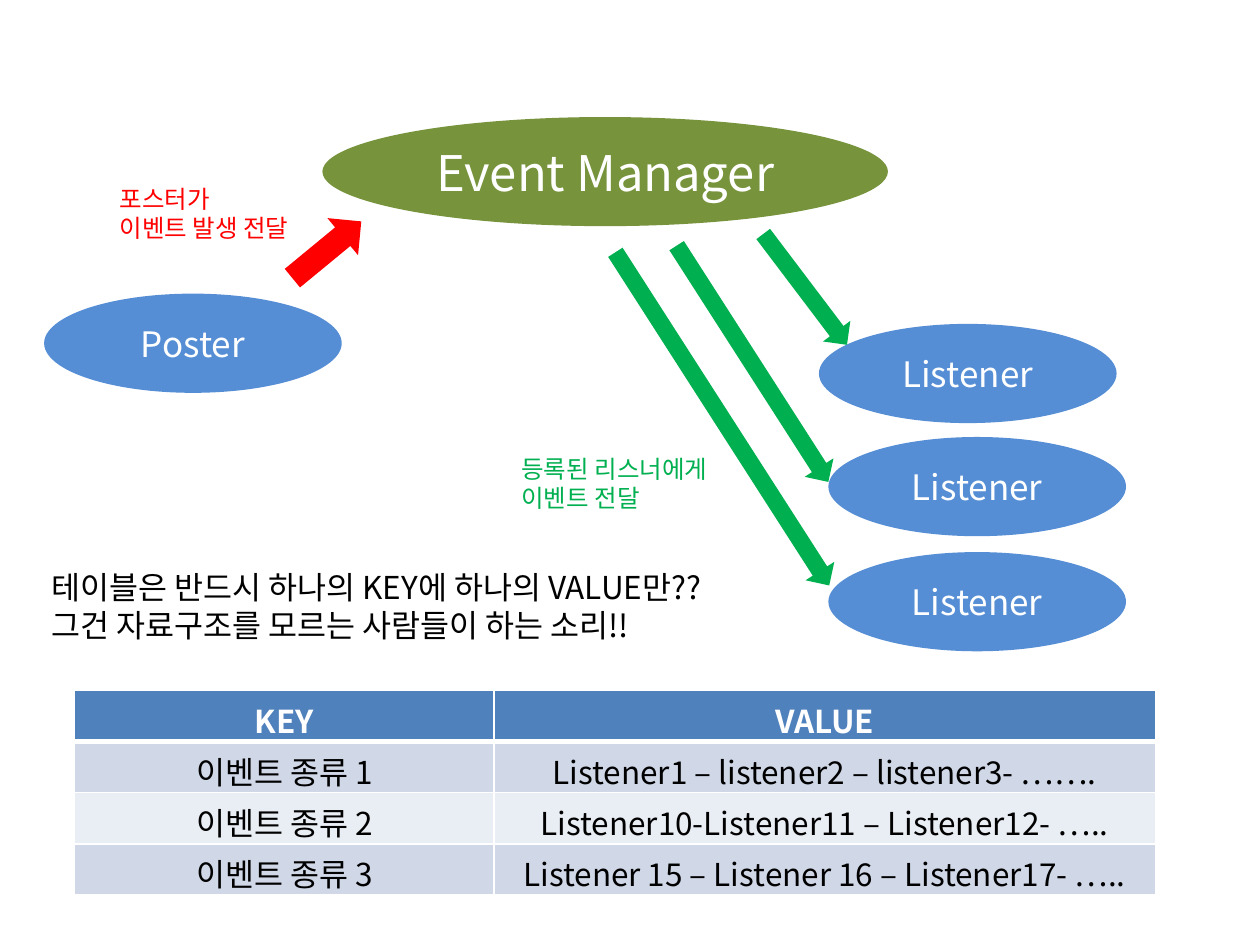
from dataclasses import dataclass

from lxml import etree
from pptx import Presentation
from pptx import util as u
from pptx.dml.color import RGBColor
from pptx.enum import shapes, text
from pptx.oxml.ns import qn


@dataclass(frozen=True)
class Theme:
    font: str = "Noto Sans CJK KR"
    white: str = "FFFFFF"
    black: str = "000000"
    manager: str = "77933C"
    client: str = "558ED5"
    post: str = "FF0000"
    notify: str = "00B050"
    header: str = "4F81BD"
    bands: tuple = ("D0D8E8", "E9EDF4")
    title: int = 28
    label: int = 20
    body: int = 18
    note: int = 14


def paint(fill, color):
    fill.solid()
    fill.fore_color.rgb = RGBColor.from_string(color)


class SlideBuilder:
    def __init__(self, page, theme):
        self.page = page
        self.theme = theme

    def style(self, para, size, color, bold=False, align=None):
        para.alignment = align
        font = para.font
        font.size, font.bold, font.name = u.Pt(size), bold, self.theme.font
        paint(font.fill, color)
        properties = para._p.pPr.find(qn("a:defRPr"))
        etree.SubElement(properties, qn("a:ea"), typeface=self.theme.font)

    def shape(self, kind, place, color):
        shape = self.page.shapes.add_shape(kind, *map(u.Cm, place))
        shape.shadow.inherit = False
        paint(shape.fill, color)
        shape.line.fill.background()
        return shape

    def ellipse(self, label, place, color, size):
        shape = self.shape(shapes.MSO_SHAPE.OVAL, place, color)
        frame = shape.text_frame
        frame.text = label
        frame.vertical_anchor = text.MSO_ANCHOR.MIDDLE
        self.style(frame.paragraphs[0], size, self.theme.white,
                   align=text.PP_ALIGN.CENTER)

    def arrow(self, place, angle, color):
        self.shape(shapes.MSO_SHAPE.RIGHT_ARROW, place, color).rotation = angle

    def text(self, lines, place, size, color):
        frame = self.page.shapes.add_textbox(*map(u.Cm, place)).text_frame
        frame.word_wrap = False
        frame.auto_size = text.MSO_AUTO_SIZE.SHAPE_TO_FIT_TEXT
        frame.text = "\n".join(lines)
        for para in frame.paragraphs:
            self.style(para, size, color)

    def borders(self, cell, widths):
        """Draw white cell edges; widths maps an edge letter to points."""
        properties = cell._tc.get_or_add_tcPr()
        for edge, width in widths.items():
            line = etree.SubElement(properties, qn(f"a:ln{edge}"), w=str(u.Pt(width)))
            fill = etree.SubElement(line, qn("a:solidFill"))
            etree.SubElement(fill, qn("a:srgbClr"), val=self.theme.white)

    def table(self, rows, left, top, widths, row_height):
        theme = self.theme
        table = self.page.shapes.add_table(
            len(rows), len(widths), u.Cm(left), u.Cm(top),
            u.Cm(sum(widths)), u.Cm(row_height * len(rows))).table
        for column, width in zip(table.columns, widths):
            column.width = u.Cm(width)
        for i, row in enumerate(rows):
            table.rows[i].height = u.Cm(row_height)
            is_header = i == 0
            for j, content in enumerate(row):
                cell = table.cell(i, j)
                cell.text = content
                self.borders(cell, {"L": 1, "R": 1, "T": 3 if i == 1 else 1,
                                    "B": 3 if is_header else 1})
                paint(cell.fill, theme.header if is_header else theme.bands[(i - 1) % 2])
                self.style(cell.text_frame.paragraphs[0], theme.body,
                           theme.white if is_header else theme.black,
                           bold=is_header, align=text.PP_ALIGN.CENTER)


def main():
    deck = Presentation()
    deck.slide_width, deck.slide_height = u.Cm(25.4), u.Cm(19.05)
    theme = Theme()
    slide = SlideBuilder(deck.slides.add_slide(deck.slide_layouts[6]), theme)

    slide.ellipse("Event Manager", (6.5, 2.36, 11.4, 2.2), theme.manager, theme.title)
    clients = [("Poster", 0.89, 5.92), ("Listener", 16.51, 6.53),
               ("Listener", 16.7, 8.81), ("Listener", 16.7, 11.13)]
    for label, left, top in clients:
        slide.ellipse(label, (left, top, 6, 2), theme.client, theme.label)

    slide.arrow((5.69, 4.55, 1.8, 0.97), 320.5, theme.post)
    slide.text(["포스터가", "이벤트 발생 전달"], (2.16, 3.58, 4.34, 1.45),
               theme.note, theme.post)

    notifications = [(14.83, 5.49, 2.8, 52.9), (12.34, 6.99, 5.66, 57.3),
                     (10.57, 8.1, 7.98, 57.3)]
    for left, top, length, angle in notifications:
        slide.arrow((left, top, length, 0.69), angle, theme.notify)
    slide.text(["등록된 리스너에게", "이벤트 전달"], (10.26, 9.02, 4.85, 1.45),
               theme.note, theme.notify)

    slide.table([
        ("KEY", "VALUE"),
        ("이벤트 종류 1", "Listener1 – listener2 – listener3- ……."),
        ("이벤트 종류 2", "Listener10-Listener11 – Listener12- ….."),
        ("이벤트 종류 3", "Listener 15 – Listener 16 – Listener17- ….."),
    ], left=1.5, top=13.92, widths=(8.46, 13.33), row_height=1.03)
    slide.text(["테이블은 반드시 하나의 KEY에 하나의 VALUE만??",
                "그건 자료구조를 모르는 사람들이 하는 소리!!"],
               (0.79, 11.33, 14.78, 1.8), theme.body, theme.black)

    deck.save("out.pptx")


if __name__ == "__main__":
    main()
